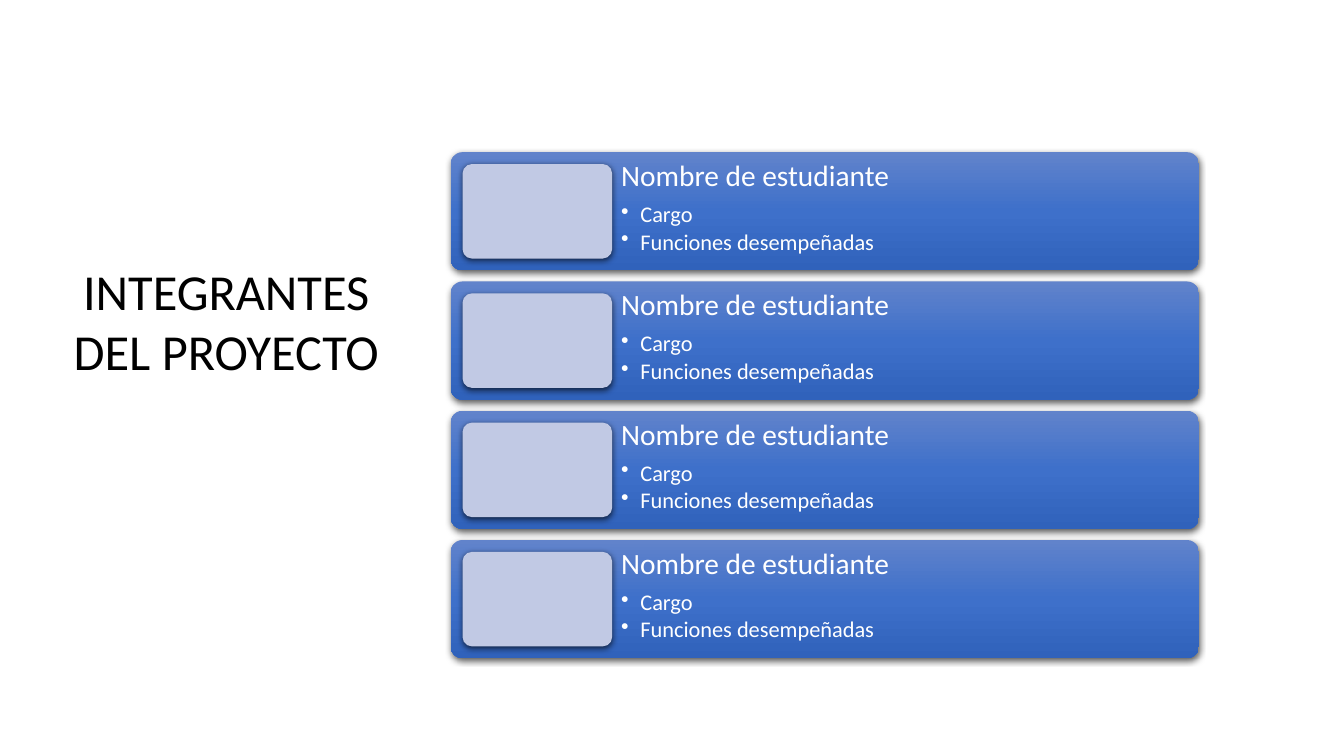
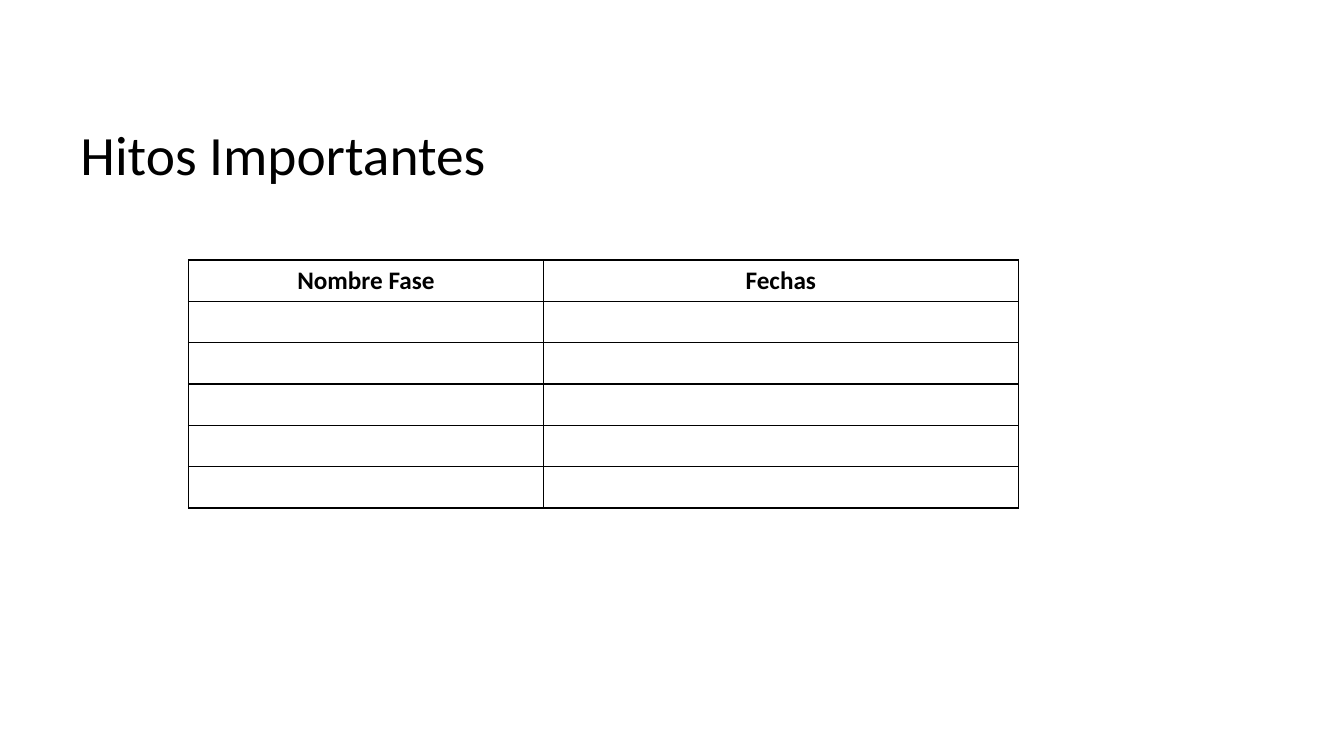
import copy
from dataclasses import dataclass

import pptx
import pptx.dml.color
import pptx.enum.shapes
import pptx.enum.text
import pptx.oxml
import pptx.oxml.ns
import pptx.util

Inches = pptx.util.Inches
Pt = pptx.util.Pt
RGBColor = pptx.dml.color.RGBColor
PP_ALIGN = pptx.enum.text.PP_ALIGN
MSO_ANCHOR = pptx.enum.text.MSO_ANCHOR
qn = pptx.oxml.ns.qn
NAMESPACE = pptx.oxml.ns.nsdecls("a")


@dataclass(frozen=True)
class Theme:
    font: str = "Calibri"
    ink: str = "000000"
    light: str = "FFFFFF"
    portrait: str = "C1C9E4"
    card_gradient: tuple = ((0, "6183CB"), (0.5, "3E70CA"), (1, "3062BB"))
    side_title_size: float = 36
    title_size: float = 39.6
    name_size: float = 21
    detail_size: float = 16
    table_size: float = 18
    border_width: float = 1


THEME = Theme()

MEMBERS = [("Nombre de estudiante", ["Cargo", "Funciones desempeñadas"])] * 4
MILESTONE_HEADERS = ["Nombre Fase", "Fechas"]
MILESTONE_ROWS = 5


def style_font(para, size, color, bold=False):
    para.font.name = THEME.font
    para.font.size = Pt(size)
    para.font.bold = bold
    para.font.color.rgb = RGBColor.from_string(color)


def add_text_frame(page, left, top, width, height):
    box = page.shapes.add_textbox(Inches(left), Inches(top), Inches(width), Inches(height))
    box.text_frame.word_wrap = True
    return box.text_frame


def add_title(page, text, box, size, align=PP_ALIGN.LEFT, anchor=MSO_ANCHOR.TOP):
    frame = add_text_frame(page, *box)
    frame.vertical_anchor = anchor
    para = frame.paragraphs[0]
    para.text = text
    para.alignment = align
    style_font(para, size, THEME.ink)


def add_raised_panel(page, left, top, width, height):
    """Add a rounded rectangle without outline and with a soft shadow below."""
    panel = page.shapes.add_shape(
        pptx.enum.shapes.MSO_SHAPE.ROUNDED_RECTANGLE,
        Inches(left), Inches(top), Inches(width), Inches(height))
    panel.adjustments[0] = 0.1
    panel.line.fill.background()
    panel.shadow.inherit = False
    effects = panel._element.spPr.find(qn("a:effectLst"))
    effects.append(pptx.oxml.parse_xml(
        f'<a:outerShdw {NAMESPACE} blurRad="{Pt(4.5)}" dist="{Pt(1.5)}" dir="5400000" '
        'algn="ctr" rotWithShape="0"><a:srgbClr val="000000"><a:alpha val="63000"/>'
        '</a:srgbClr></a:outerShdw>'))
    return panel


def fill_downward(shape, stops):
    """Fill with a top-to-bottom gradient of three stops."""
    shape.fill.gradient()
    shape.fill.gradient_angle = 270
    stop_list = next(shape._element.spPr.iter(qn("a:gsLst")))
    stop_list.insert(1, copy.deepcopy(stop_list[0]))
    for stop, (position, color) in zip(shape.fill.gradient_stops, stops):
        stop.position = position
        stop.color.rgb = RGBColor.from_string(color)


def add_bullet(para, indent):
    properties = para._p.get_or_add_pPr()
    properties.set("marL", str(Inches(indent)))
    properties.set("indent", str(-Inches(indent)))
    properties.append(pptx.oxml.parse_xml(f'<a:buChar {NAMESPACE} char="•"/>'))


def add_member_card(page, name, details, left, top, width, height):
    card = add_raised_panel(page, left, top, width, height)
    fill_downward(card, THEME.card_gradient)

    margin = height / 10
    portrait_width = width / 5
    portrait = add_raised_panel(
        page, left + margin, top + margin, portrait_width, height - 2 * margin)
    portrait.fill.solid()
    portrait.fill.fore_color.rgb = RGBColor.from_string(THEME.portrait)

    text_offset = margin + portrait_width
    frame = add_text_frame(page, left + text_offset, top, width - text_offset, height)
    frame.margin_left = frame.margin_right = Inches(0.09)
    frame.margin_top = frame.margin_bottom = Inches(0.09)
    heading = frame.paragraphs[0]
    heading.text = name
    heading.line_spacing = 0.9
    heading.space_after = Pt(7.35)
    style_font(heading, THEME.name_size, THEME.light)
    for detail in details:
        para = frame.add_paragraph()
        para.text = detail
        para.line_spacing = 0.9
        para.space_after = Pt(2.4)
        style_font(para, THEME.detail_size, THEME.light)
        add_bullet(para, 0.19)


def add_member_list(page, left, top, width, height):
    gap = 0.11
    card_height = (height + gap) / len(MEMBERS) - gap
    for index, (name, details) in enumerate(MEMBERS):
        card_top = top + index * (card_height + gap)
        add_member_card(page, name, details, left, card_top, width, card_height)


def outline_cell(cell):
    properties = cell._tc.get_or_add_tcPr()
    for index, side in enumerate(("lnL", "lnR", "lnT", "lnB")):
        properties.insert(index, pptx.oxml.parse_xml(
            f'<a:{side} {NAMESPACE} w="{Pt(THEME.border_width)}"><a:solidFill>'
            f'<a:srgbClr val="{THEME.ink}"/></a:solidFill></a:{side}>'))


def add_milestone_table(page, left, top, column_widths, row_height):
    row_count = MILESTONE_ROWS + 1
    table = page.shapes.add_table(
        row_count, len(column_widths), Inches(left), Inches(top),
        Inches(sum(column_widths)), Inches(row_height * row_count)).table
    table.first_row = table.horz_banding = False
    for column, width in zip(table.columns, column_widths):
        column.width = Inches(width)
    for row in table.rows:
        row.height = Inches(row_height)
    for cell in table.iter_cells():
        cell.fill.background()
        cell.vertical_anchor = MSO_ANCHOR.MIDDLE
        outline_cell(cell)
        para = cell.text_frame.paragraphs[0]
        para.alignment = PP_ALIGN.CENTER
        style_font(para, THEME.table_size, THEME.ink, bold=True)
    for cell, header in zip(table.rows[0].cells, MILESTONE_HEADERS):
        cell.text_frame.paragraphs[0].text = header


def build_members_page(page):
    add_title(page, "INTEGRANTES DEL PROYECTO", (0.61, 2.53, 3.27, 1.31),
              THEME.side_title_size, align=PP_ALIGN.CENTER)
    add_member_list(page, 4.47, 1.51, 7.42, 5.02)


def build_milestones_page(page):
    add_title(page, "Hitos Importantes", (0.7, 1.17, 11.5, 0.7),
              THEME.title_size, anchor=MSO_ANCHOR.MIDDLE)
    add_milestone_table(page, 1.87, 2.58, (3.52, 4.71), 0.41)


def main():
    deck = pptx.Presentation()
    deck.slide_width = Inches(13.33)
    deck.slide_height = Inches(7.5)
    blank = deck.slide_layouts[6]
    for build_page in (build_members_page, build_milestones_page):
        build_page(deck.slides.add_slide(blank))
    deck.save("out.pptx")


if __name__ == "__main__":
    main()
